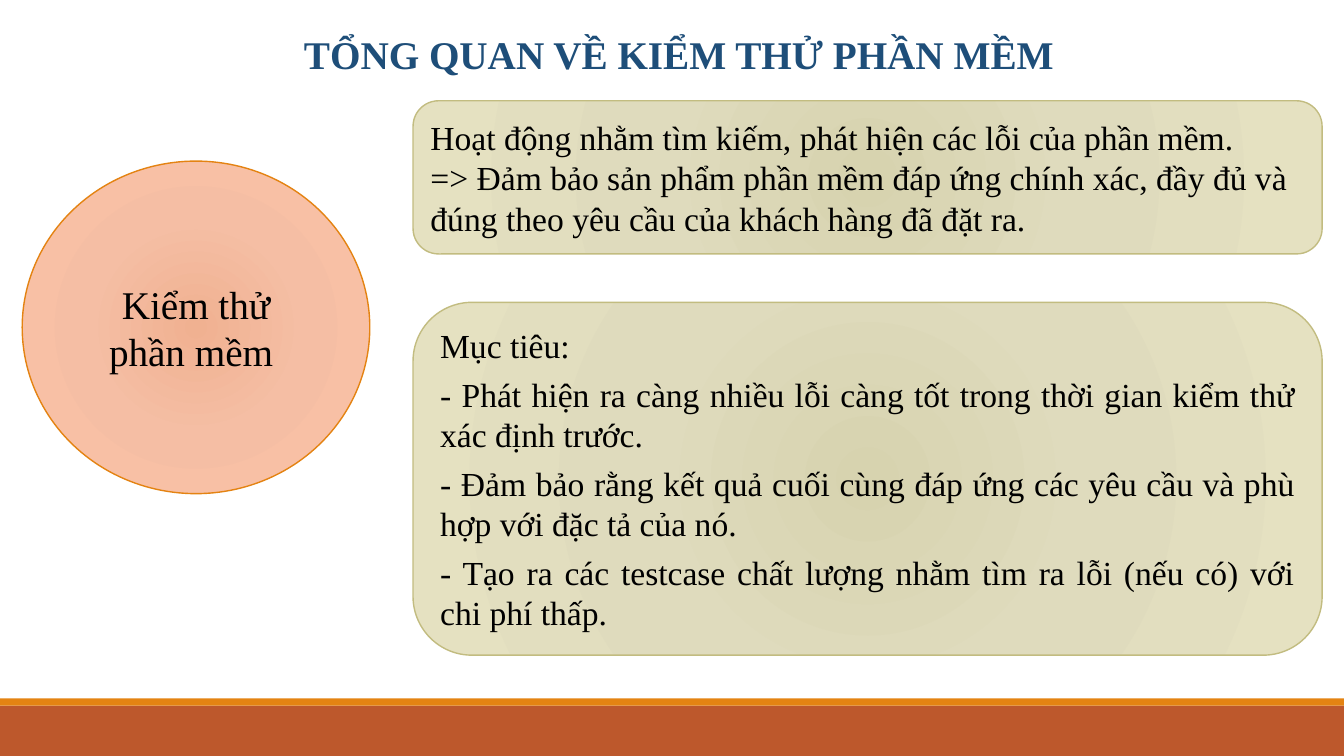
"""Build the slide that introduces software testing."""
import pptx
import pptx.dml.color
import pptx.enum.shapes
import pptx.enum.text
import pptx.oxml
import pptx.oxml.ns
import pptx.util

Cm = pptx.util.Cm
Pt = pptx.util.Pt
SHAPE = pptx.enum.shapes.MSO_SHAPE
ALIGN = pptx.enum.text.PP_ALIGN
ANCHOR = pptx.enum.text.MSO_ANCHOR

FONT = "Times New Roman"
COLORS = {
    "title": "1E4E79",
    "text": "000000",
    "band": "BD582C",
    "accent": "E48312",
    "sand_line": "C2BC80",
}
GRADIENTS = {
    "peach": ("F0B191", "F5BEA4", "FDC3A8"),
    "sand": ("D7D3AF", "DFDBBD", "E5E1C1"),
}
STOPS = (0, 45, 100)
SLIDE_W, SLIDE_H = 33.87, 19.05

DEFINITION = (
    "Hoạt động nhằm tìm kiếm, phát hiện các lỗi của phần mềm.",
    "=> Đảm bảo sản phẩm phần mềm đáp ứng chính xác, đầy đủ và đúng theo "
    "yêu cầu của khách hàng đã đặt ra.",
)
GOALS = (
    "Mục tiêu:",
    "- Phát hiện ra càng nhiều lỗi càng tốt trong thời gian kiểm thử xác định trước.",
    "- Đảm bảo rằng kết quả cuối cùng đáp ứng các yêu cầu và phù hợp với đặc tả của nó.",
    "- Tạo ra các testcase chất lượng nhằm tìm ra lỗi (nếu có) với chi phí thấp.",
)


def rgb(name):
    return pptx.dml.color.RGBColor.from_string(COLORS[name])


def write(tf, lines, size, color="text", align=ALIGN.LEFT, after=0, bold=False):
    tf.word_wrap = True
    tf.auto_size = pptx.enum.text.MSO_AUTO_SIZE.NONE
    tf.vertical_anchor = ANCHOR.MIDDLE
    for i, line in enumerate(lines):
        p = tf.add_paragraph() if i else tf.paragraphs[0]
        p.text = line
        p.alignment = align
        p.space_after = Pt(after)
        p.font.name = FONT
        p.font.size = Pt(size)
        p.font.bold = bold
        p.font.color.rgb = rgb(color)


def fill_radial(sp, gradient):
    stops = "".join(
        f'<a:gs pos="{pos * 1000}"><a:srgbClr val="{color}"/></a:gs>'
        for pos, color in zip(STOPS, GRADIENTS[gradient])
    )
    fill = pptx.oxml.parse_xml(
        f'<a:gradFill {pptx.oxml.ns.nsdecls("a")} rotWithShape="1">'
        f'<a:gsLst>{stops}</a:gsLst><a:path path="circle">'
        '<a:fillToRect l="100000" t="100000" r="100000" b="100000"/>'
        '</a:path></a:gradFill>'
    )
    sp.element.spPr.find(pptx.oxml.ns.qn("a:prstGeom")).addnext(fill)


def add_bar(s, top, height, color):
    sp = s.shapes.add_shape(SHAPE.RECTANGLE, 0, Cm(top), Cm(SLIDE_W), Cm(height))
    sp.shadow.inherit = False
    sp.fill.solid()
    sp.fill.fore_color.rgb = rgb(color)
    sp.line.fill.background()


def add_panel(s, kind, box, gradient, line):
    sp = s.shapes.add_shape(kind, *map(Cm, box))
    sp.shadow.inherit = False
    fill_radial(sp, gradient)
    sp.line.color.rgb = rgb(line)
    sp.line.width = Pt(1)
    return sp.text_frame


def set_title(s, text):
    sp = s.shapes.title
    sp.left, sp.top, sp.width, sp.height = map(Cm, (6.88, 0.64, 20.45, 1.45))
    write(sp.text_frame, [text], 28, "title", ALIGN.CENTER, bold=True)


def main():
    prs = pptx.Presentation()
    prs.slide_width, prs.slide_height = Cm(SLIDE_W), Cm(SLIDE_H)
    s = prs.slides.add_slide(prs.slide_layouts.get_by_name("Title Only"))

    add_bar(s, 17.78, 1.27, "band")
    add_bar(s, 17.6, 0.18, "accent")
    set_title(s, "TỔNG QUAN VỀ KIỂM THỬ PHẦN MỀM")

    tf = add_panel(s, SHAPE.OVAL, (0.56, 4.06, 8.76, 8.38), "peach", "accent")
    write(tf, ["Kiểm thử phần mềm "], 28, align=ALIGN.CENTER)

    tf = add_panel(s, SHAPE.ROUNDED_RECTANGLE, (10.41, 2.54, 22.91, 3.86), "sand", "sand_line")
    write(tf, DEFINITION, 24)

    tf = add_panel(s, SHAPE.ROUNDED_RECTANGLE, (10.41, 7.62, 22.91, 8.89), "sand", "sand_line")
    write(tf, GOALS, 24, align=ALIGN.JUSTIFY, after=6)

    prs.save("out.pptx")


if __name__ == "__main__":
    main()
